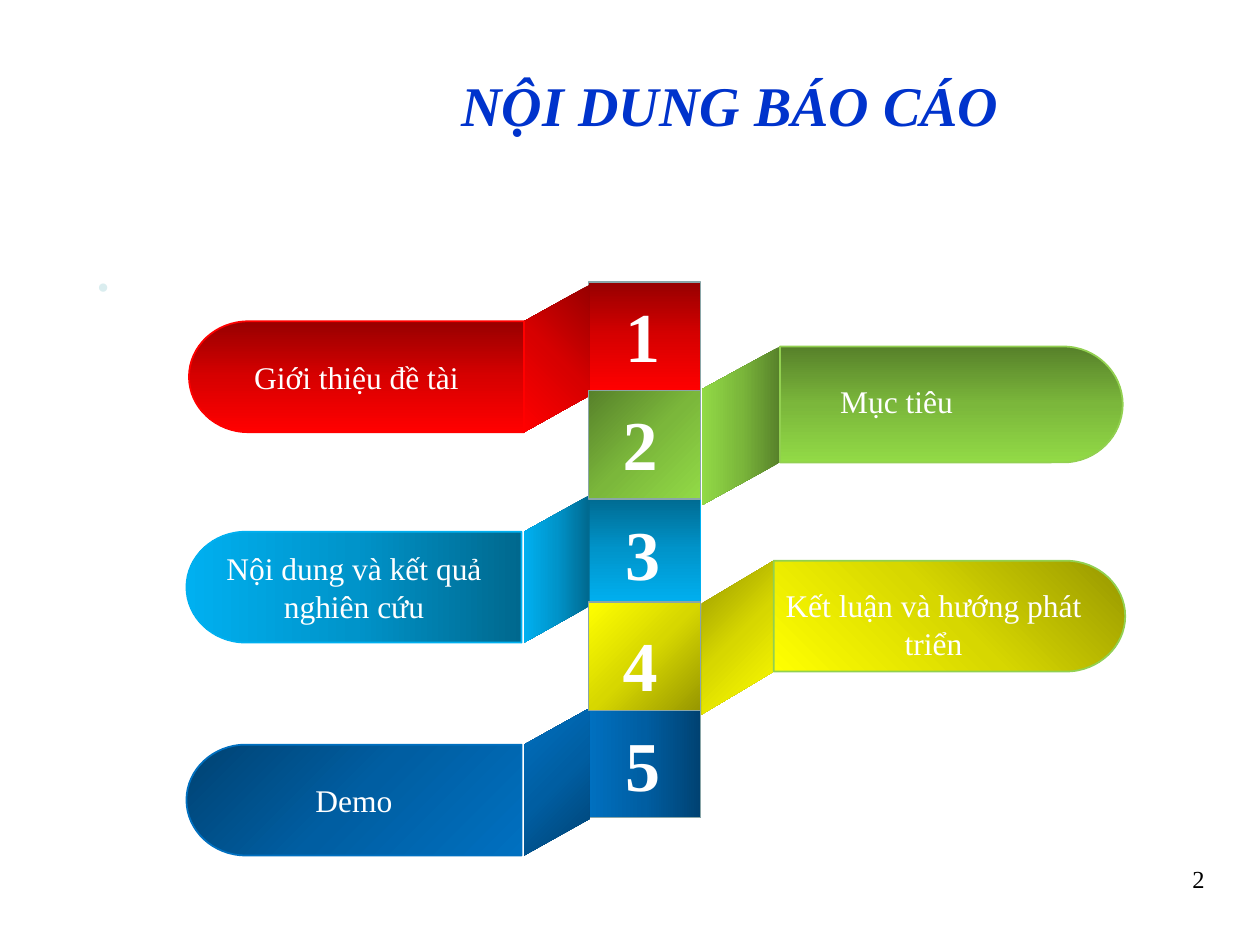
from copy import deepcopy
from dataclasses import dataclass
from typing import Optional

from lxml.etree import SubElement
from pptx import Presentation
from pptx.dml.color import RGBColor
from pptx.enum.shapes import MSO_SHAPE as Shape
from pptx.enum.text import MSO_ANCHOR as Anchor, PP_ALIGN as Align
from pptx.oxml.ns import qn
from pptx.util import Inches, Pt

FONT = "Times New Roman"
WHITE = RGBColor(0xFF, 0xFF, 0xFF)
BLACK = RGBColor(0, 0, 0)
TITLE_BLUE = RGBColor(0x00, 0x33, 0xCC)
PALE = RGBColor(0xDA, 0xED, 0xEF)
GREY = RGBColor(0x8A, 0xA6, 0xA8)
LIME = RGBColor(0x92, 0xD0, 0x50)

# Gradient stops, dark to light
RED = (RGBColor(0x97, 0, 0), RGBColor(0xD7, 0, 0), RGBColor(0xFF, 0, 0))
GREEN = (RGBColor(0x57, 0x81, 0x2A), RGBColor(0x7B, 0xB7, 0x3B), RGBColor(0x92, 0xDA, 0x46))
CYAN = (RGBColor(0, 0x68, 0x8E), RGBColor(0, 0x94, 0xCA), RGBColor(0, 0xB0, 0xF0))
YELLOW = (RGBColor(0x97, 0x97, 0), RGBColor(0xD7, 0xD7, 0), RGBColor(0xFF, 0xFF, 0))
BLUE = (RGBColor(0, 0x42, 0x72), RGBColor(0, 0x5E, 0xA2), RGBColor(0, 0x70, 0xC0))

SQUARE_LEFT, SQUARE_WIDTH, SQUARE_HEIGHT = 4.67, 0.89, 0.86
LEFT_ARM, RIGHT_ARM = (4.16, 4.68), 5.57  # arm edges beside the column
LEFT_SHIFT, RIGHT_SHIFT = -0.29, 0.34  # drop of an arm towards the column
ROUNDING = 0.47  # depth of a pill's round end
BEZIER = 0.55  # handle length for a quarter ellipse


@dataclass
class Box:
    left: float
    top: float
    width: float
    height: float


@dataclass
class Topic:
    number: str
    label: str
    colors: tuple
    square_top: float
    pill: Box
    angles: tuple  # square, arm, pill
    square_line: RGBColor
    pill_line: RGBColor
    number_left: float
    number_top: float
    label_box: Optional[Box] = None  # only topics on the right
    label_align: Align = Align.CENTER


# Back to front
TOPICS = [
    Topic("1", "Giới thiệu đề tài", RED, 2.24, Box(1.5, 2.55, 2.66, 0.88),
          (90, 135, 90), GREY, RED[2], 4.86, 2.27),
    Topic("5", "Demo", BLUE, 5.63, Box(1.48, 5.91, 2.66, 0.88),
          (180, 225, 45), GREY, BLUE[2], 4.86, 5.68),
    Topic("3", "Nội dung và kết quả nghiên cứu", CYAN, 3.93, Box(1.48, 4.22, 2.66, 0.88),
          (90, 180, 180), CYAN[2], CYAN[2], 4.86, 4.0),
    Topic("2", "Mục tiêu", GREEN, 3.1, Box(6.19, 2.75, 2.72, 0.92),
          (45, 180, 90), GREY, LIME, 4.84, 3.13, Box(6.57, 2.98, 2.24, 0.4), Align.LEFT),
    Topic("4", "Kết luận và hướng phát triển", YELLOW, 4.78, Box(6.14, 4.45, 2.79, 0.88),
          (225, 45, 135), GREY, LIME, 4.84, 4.88, Box(6.06, 4.6, 2.7, 0.71)),
]


def paint(shape, colors: tuple, angle: int, line: Optional[RGBColor]) -> None:
    shape.shadow.inherit = False
    fill = shape.fill
    fill.gradient()
    fill.gradient_angle = (360 - angle) % 360
    stop_list = shape._element.spPr.find(qn("a:gradFill")).find(qn("a:gsLst"))
    stop_list.append(deepcopy(stop_list[0]))
    for stop, color, position in zip(fill.gradient_stops, colors, (0, 0.5, 1)):
        stop.color.rgb = color
        stop.position = position
    if line is None:
        shape.line.fill.background()
    else:
        shape.line.color.rgb = line
        shape.line.width = Pt(1)


def write(frame, text: str, size: int, color: RGBColor, align: Align = Align.CENTER,
          bold: bool = False, italic: bool = False, wrap: bool = True) -> None:
    frame.word_wrap = wrap
    paragraph = frame.paragraphs[0]
    paragraph.text = text
    paragraph.alignment = align
    font = paragraph.font
    font.name, font.size, font.bold, font.italic = FONT, Pt(size), bold, italic
    font.color.rgb = color


def add_text(slide, box: Box, text: str, size: int, color: RGBColor,
             anchor: Anchor = Anchor.TOP, **style) -> None:
    textbox = slide.shapes.add_textbox(
        Inches(box.left), Inches(box.top), Inches(box.width), Inches(box.height))
    textbox.text_frame.vertical_anchor = anchor
    write(textbox.text_frame, text, size, color, **style)


def add_outline(slide, points: list):
    corners = [(Inches(x), Inches(y)) for x, y in points]
    builder = slide.shapes.build_freeform(*corners[0])
    builder.add_line_segments(corners[1:], close=True)
    return builder.convert_to_shape()


def bend(segment, points: list, box: Box) -> None:
    """Turn a straight segment into a cubic curve through the given points."""
    curve = segment.makeelement(qn("a:cubicBezTo"))
    for x, y in points:
        SubElement(curve, qn("a:pt"), x=str(Inches(x - box.left)), y=str(Inches(y - box.top)))
    segment.getparent().replace(segment, curve)


def add_pill(slide, box: Box, on_right: bool):
    right, bottom = box.left + box.width, box.top + box.height
    middle = box.top + box.height / 2
    flat, tip = (box.left, right) if on_right else (right, box.left)
    bend_start = tip - ROUNDING if on_right else tip + ROUNDING
    handle_x = bend_start + BEZIER * (tip - bend_start)
    handle_y = BEZIER * box.height / 2
    pill = add_outline(slide, [(flat, box.top), (bend_start, box.top), (tip, middle),
                               (bend_start, bottom), (flat, bottom)])
    segments = list(pill._element.spPr.iter(qn("a:lnTo")))
    bend(segments[1], [(handle_x, box.top), (tip, middle - handle_y), (tip, middle)], box)
    bend(segments[2], [(tip, middle + handle_y), (handle_x, bottom), (bend_start, bottom)], box)
    return pill


def add_topic(slide, topic: Topic) -> None:
    pill = topic.pill
    on_right = topic.label_box is not None
    square_angle, arm_angle, pill_angle = topic.angles

    # Numbered square
    square = slide.shapes.add_shape(
        Shape.RECTANGLE, Inches(SQUARE_LEFT), Inches(topic.square_top),
        Inches(SQUARE_WIDTH), Inches(SQUARE_HEIGHT))
    paint(square, topic.colors, square_angle, topic.square_line)

    # Slanted arm between square and pill
    outer, inner = (pill.left, RIGHT_ARM) if on_right else LEFT_ARM
    shift = RIGHT_SHIFT if on_right else LEFT_SHIFT
    bottom = pill.top + pill.height
    arm = add_outline(slide, [(inner, pill.top + shift), (outer, pill.top),
                              (outer, bottom), (inner, bottom + shift)])
    paint(arm, topic.colors, arm_angle, None)

    # Pill, rounded on its outer end
    body = add_pill(slide, pill, on_right)
    paint(body, topic.colors, pill_angle, topic.pill_line)
    if not on_right:
        body.text_frame.vertical_anchor = Anchor.MIDDLE
        write(body.text_frame, topic.label, 18, WHITE)


def main() -> None:
    deck = Presentation()
    deck.slide_width, deck.slide_height = Inches(10), Inches(7.5)
    slide = deck.slides.add_slide(deck.slide_layouts[6])

    # Title and body text
    add_text(slide, Box(1.92, 0.31, 7.75, 1.03), "NỘI DUNG BÁO CÁO", 32, TITLE_BLUE,
             Anchor.MIDDLE, bold=True, italic=True)
    add_text(slide, Box(0.67, 1.86, 8.75, 5.21), ".", 29, PALE, align=Align.LEFT, bold=True)

    # Topics
    for topic in TOPICS:
        add_topic(slide, topic)

    # Numbers and right-hand labels, above all shapes
    ordered = sorted(TOPICS, key=lambda item: item.number)
    for topic in ordered:
        add_text(slide, Box(topic.number_left, topic.number_top, 0.48, 0.77),
                 topic.number, 40, WHITE, bold=True, wrap=False)
    for topic in ordered:
        if topic.label_box:
            add_text(slide, topic.label_box, topic.label, 18, WHITE, align=topic.label_align)

    # Slide number
    add_text(slide, Box(7.33, 6.81, 2.33, 0.61), "2", 14, BLACK, align=Align.RIGHT)
    deck.save("out.pptx")


if __name__ == "__main__":
    main()
